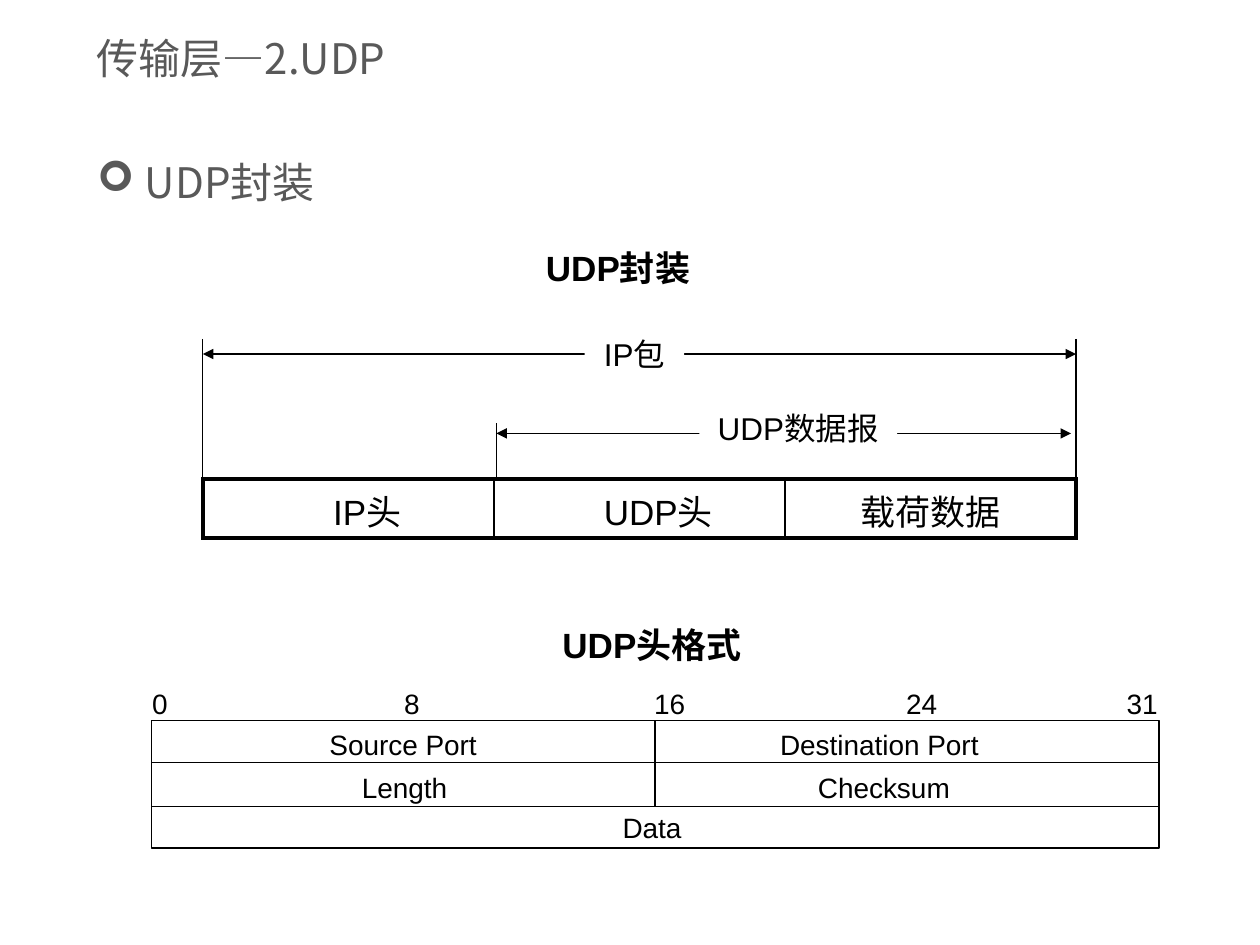
"""Build a slide showing UDP encapsulation and the UDP header format."""
import pptx
import pptx.util
import pptx.dml.color
import pptx.enum.shapes
import pptx.enum.text
import pptx.oxml
import pptx.oxml.ns
from lxml import etree

Inches, Pt = pptx.util.Inches, pptx.util.Pt
ALIGN, ANCHOR = pptx.enum.text.PP_ALIGN, pptx.enum.text.MSO_ANCHOR
BLACK = pptx.dml.color.RGBColor(0x00, 0x00, 0x00)
WHITE = pptx.dml.color.RGBColor(0xFF, 0xFF, 0xFF)
GREY = pptx.dml.color.RGBColor(0x59, 0x59, 0x59)
CJK = "Noto Sans CJK SC"

TOPIC = ("传输层—2.UDP", (0.67, 0.17, 8.67, 0.58))
TITLE = ("UDP封装", (0.67, 1.15, 8.42, 0.58))
HEADINGS = [("UDP封装", (3.86, 1.91, 2.09, 0.43)),
            ("UDP头格式", (4.13, 4.9, 2.09, 0.43))]
PACKET = [("IP头", 0.4), ("UDP头", 0.4), ("载荷数据", 0.1)]
PACKET_BOX = (1.61, 3.8, 6.93, 0.47)
GUIDES = [(1.61, 2.69), (3.94, 3.36), (8.54, 2.69)]
SPANS = [("UDP数据报", (5.55, 3.2, 1.57, 0.4), 3.94, 8.5, 3.44),
         ("IP包", (4.64, 2.61, 0.79, 0.4), 1.61, 8.54, 2.81)]
BITS = [("0", 1.11, 0.32), ("8", 3.11, 0.32), ("16", 5.09, 0.45),
        ("24", 7.09, 0.45), ("31", 8.84, 0.45)]
FIELDS = [("Source Port", 2.48, 5.72, 1.44), ("Destination Port", 6.06, 5.72, 1.84),
          ("Length", 2.77, 6.06, 0.88), ("Checksum", 6.36, 6.06, 1.31),
          ("Data", 4.81, 6.38, 0.73)]
HEADER_LEFT, HEADER_TOP, HEADER_WIDTH = 1.2, 5.72, 8
HEADER_ROWS = [(0.33, 2), (0.35, 2), (0.33, 1)]
LABEL_HEIGHT = 0.37


def write(tf, text, size, font="Arial", color=BLACK, bold=False, align=ALIGN.CENTER):
    p = tf.paragraphs[0]
    p.alignment = align
    r = p.add_run()
    r.text = text
    r.font.size, r.font.name, r.font.bold = Pt(size), font, bold
    r.font.color.rgb = color
    ea = etree.SubElement(r.font._element, pptx.oxml.ns.qn("a:ea"))
    ea.set("typeface", CJK)
    return p


def add_text(s, text, box, size, wrap=True, anchor=ANCHOR.TOP, **style):
    tf = s.shapes.add_textbox(*map(Inches, box)).text_frame
    tf.word_wrap = wrap
    tf.vertical_anchor = anchor
    write(tf, text, size, **style)


def add_rect(s, box, fill=None):
    sp = s.shapes.add_shape(pptx.enum.shapes.MSO_SHAPE.RECTANGLE, *map(Inches, box))
    sp.shadow.inherit = False
    if fill is None:
        sp.fill.background()
        sp.line.color.rgb, sp.line.width = BLACK, Pt(0.75)
    else:
        sp.fill.solid()
        sp.fill.fore_color.rgb = fill
        sp.line.fill.background()
    return sp


def add_line(s, x1, y1, x2, y2, arrows=False):
    line = s.shapes.add_connector(pptx.enum.shapes.MSO_CONNECTOR.STRAIGHT,
                                  *map(Inches, (x1, y1, x2, y2)))
    line.line.color.rgb, line.line.width = BLACK, Pt(0.75)
    if arrows:
        ln = line.line._get_or_add_ln()
        for end in ("a:headEnd", "a:tailEnd"):
            etree.SubElement(ln, pptx.oxml.ns.qn(end)).set("type", "triangle")
    etree.SubElement(line._element.spPr, pptx.oxml.ns.qn("a:effectLst"))


def set_border(cell, side, width):
    tc_pr = cell._tc.get_or_add_tcPr()
    ln = etree.SubElement(tc_pr, pptx.oxml.ns.qn("a:ln" + side), w=str(Pt(width)))
    fill = etree.SubElement(ln, pptx.oxml.ns.qn("a:solidFill"))
    etree.SubElement(fill, pptx.oxml.ns.qn("a:srgbClr"), val=str(BLACK))


def add_title(s):
    text, box = TITLE
    sp = s.shapes.title
    sp.left, sp.top, sp.width, sp.height = map(Inches, box)
    tf = sp.text_frame
    tf.vertical_anchor = ANCHOR.MIDDLE
    p = write(tf, text, 24, font=CJK, color=GREY, align=ALIGN.LEFT)
    p_pr = p._p.get_or_add_pPr()
    p_pr.set("marL", str(Inches(0.38)))
    p_pr.set("indent", str(Inches(-0.38)))
    etree.SubElement(p_pr, pptx.oxml.ns.qn("a:buFont"), typeface="Wingdings")
    etree.SubElement(p_pr, pptx.oxml.ns.qn("a:buChar"), char="➢")


def add_packet(s):
    table = s.shapes.add_table(1, len(PACKET), *map(Inches, PACKET_BOX)).table
    table.first_row = table.horz_banding = False
    last = len(PACKET) - 1
    for i, (text, margin) in enumerate(PACKET):
        cell = table.cell(0, i)
        cell.margin_left = Inches(margin)
        write(cell.text_frame, text, 20)
        widths = {"L": 2.25 if i == 0 else 1, "R": 2.25 if i == last else 1,
                  "T": 2.25, "B": 2.25}
        for side, width in widths.items():
            set_border(cell, side, width)
        cell.fill.background()


def add_header(s):
    top = HEADER_TOP
    for height, columns in HEADER_ROWS:
        width = HEADER_WIDTH / columns
        for i in range(columns):
            add_rect(s, (HEADER_LEFT + i * width, top, width, height))
        top += height
    labels = [(text, x, 5.4, w) for text, x, w in BITS] + FIELDS
    for text, x, y, w in labels:
        add_text(s, text, (x, y, w, LABEL_HEIGHT), 16, wrap=False, anchor=ANCHOR.MIDDLE)


def main():
    prs = pptx.Presentation()
    prs.slide_width, prs.slide_height = Inches(10), Inches(7.5)
    s = prs.slides.add_slide(prs.slide_layouts[5])
    add_title(s)
    add_text(s, *TOPIC, 24, anchor=ANCHOR.MIDDLE, font=CJK, color=GREY, align=ALIGN.LEFT)
    for text, box in HEADINGS:
        add_text(s, text, box, 20, bold=True)
    add_packet(s)
    for x, y in GUIDES:
        add_line(s, x, y, x, PACKET_BOX[1])
    for text, box, x1, x2, y in SPANS:
        add_line(s, x1, y, x2, y, arrows=True)
        tf = add_rect(s, box, WHITE).text_frame
        tf.word_wrap = True
        tf.vertical_anchor = ANCHOR.TOP
        write(tf, text, 18)
    add_header(s)
    prs.save("out.pptx")


if __name__ == "__main__":
    main()
